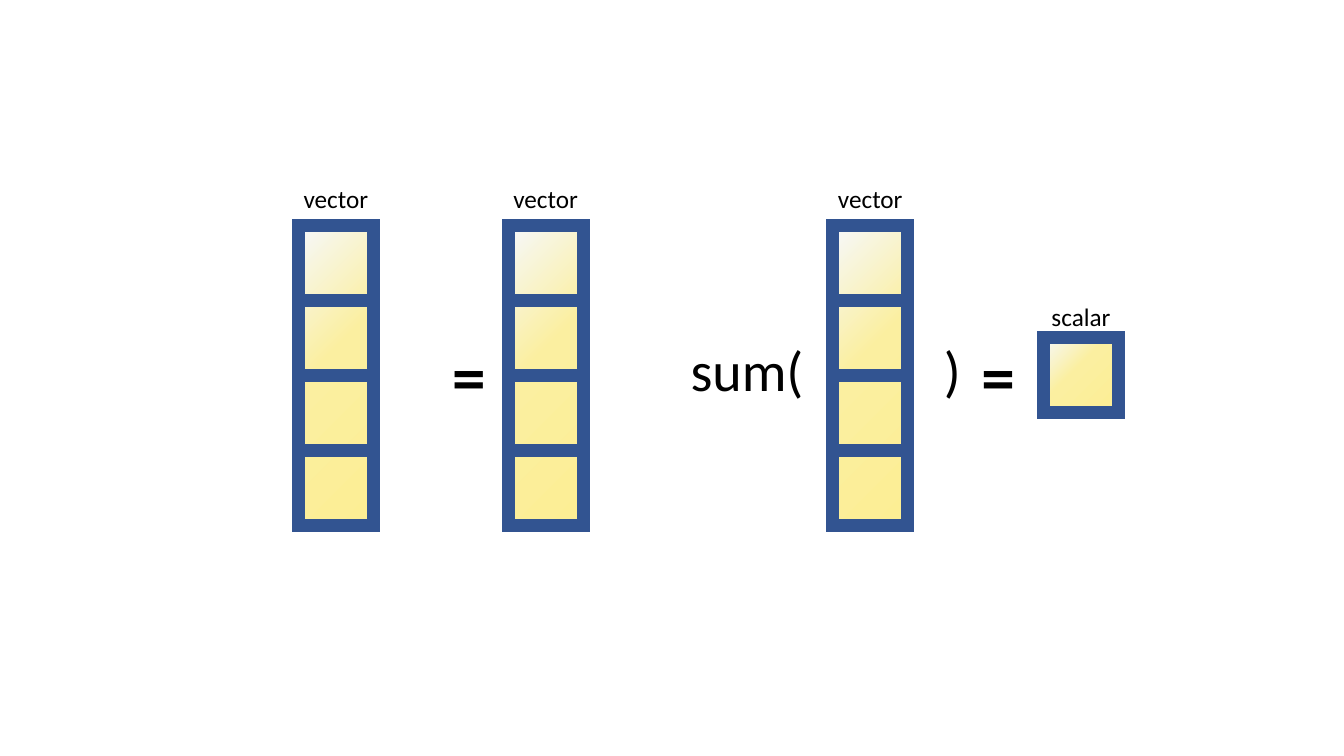
from copy import deepcopy
from pptx import Presentation
from pptx import util as u
from pptx.dml.color import RGBColor
from pptx.enum import shapes, text
from pptx.oxml import ns, xmlchemy

BLACK = RGBColor(0x00, 0x00, 0x00)
FRAME_BLUE = RGBColor(0x32, 0x54, 0x91)
GRADIENT = [
    (0, RGBColor(0xF6, 0xF8, 0xFC)),
    (0.43, RGBColor(0xFB, 0xEF, 0xA0)),
    (1, RGBColor(0xFC, 0xEE, 0x94)),
]
FONT = "Calibri"
CELL = 0.743
LABEL_HEIGHT = 0.4

STACKS = [
    ("vector", 2.96, 2.24, 4, 0.47),
    ("vector", 5.04, 2.24, 4, 0.47),
    ("vector", 8.26, 2.24, 4, 0.47),
    ("scalar", 10.35, 3.35, 1, 0.41),
]
OPERATORS = [
    ("=", 4.38, 3.27, 0.54, 0.91, 48, True),
    ("sum(", 6.73, 3.28, 1.36, 0.77, 40, False),
    (")", 9.26, 3.28, 0.37, 0.77, 40, False),
    ("=", 9.63, 3.27, 0.54, 0.91, 48, True),
]


def add_rectangle(page, left, top, width, height):
    box = page.shapes.add_shape(
        shapes.MSO_SHAPE.RECTANGLE, *map(u.Inches, (left, top, width, height)))
    box.shadow.inherit = False
    return box


def fill_gradient(box):
    box.line.fill.background()
    box.fill.gradient()
    box.fill.gradient_angle = 315
    stop_list = next(box.element.iter(ns.qn("a:gsLst")))
    stop_list.append(deepcopy(stop_list[0]))
    for stop, (position, color) in zip(box.fill.gradient_stops, GRADIENT):
        stop.position = position
        stop.color.rgb = color


def outline_cell(box):
    box.fill.background()
    box.line.color.rgb = FRAME_BLUE
    box.line.width = u.Pt(9.25)
    miter = xmlchemy.OxmlElement("a:miter")
    miter.set("lim", "800000")
    box.line.fill
    next(box.element.iter(ns.qn("a:ln"))).append(miter)


def add_words(page, words, left, top, width, height, size, bold=False):
    box = page.shapes.add_textbox(*map(u.Inches, (left, top, width, height)))
    frame = box.text_frame
    frame.text = words
    frame.word_wrap = False
    frame.auto_size = text.MSO_AUTO_SIZE.SHAPE_TO_FIT_TEXT
    para = frame.paragraphs[0]
    para.alignment = text.PP_ALIGN.CENTER
    span = para.runs[0]
    span.font.name = FONT
    span.font.size = u.Pt(size)
    span.font.bold = bold
    span.font.color.rgb = BLACK


def add_stack(page, label, left, top, count, label_rise):
    fill_gradient(add_rectangle(page, left, top, CELL, count * CELL))
    for row in range(count):
        outline_cell(add_rectangle(page, left, top + row * CELL, CELL, CELL))
    add_words(page, label, left - 0.05, top - label_rise,
              CELL + 0.1, LABEL_HEIGHT, 18)


def main():
    deck = Presentation()
    deck.slide_width, deck.slide_height = u.Inches(13.33), u.Inches(7.5)
    page = deck.slides.add_slide(deck.slide_layouts[6])
    for stack in STACKS:
        add_stack(page, *stack)
    for operator in OPERATORS:
        add_words(page, *operator)
    deck.save("out.pptx")


if __name__ == "__main__":
    main()
